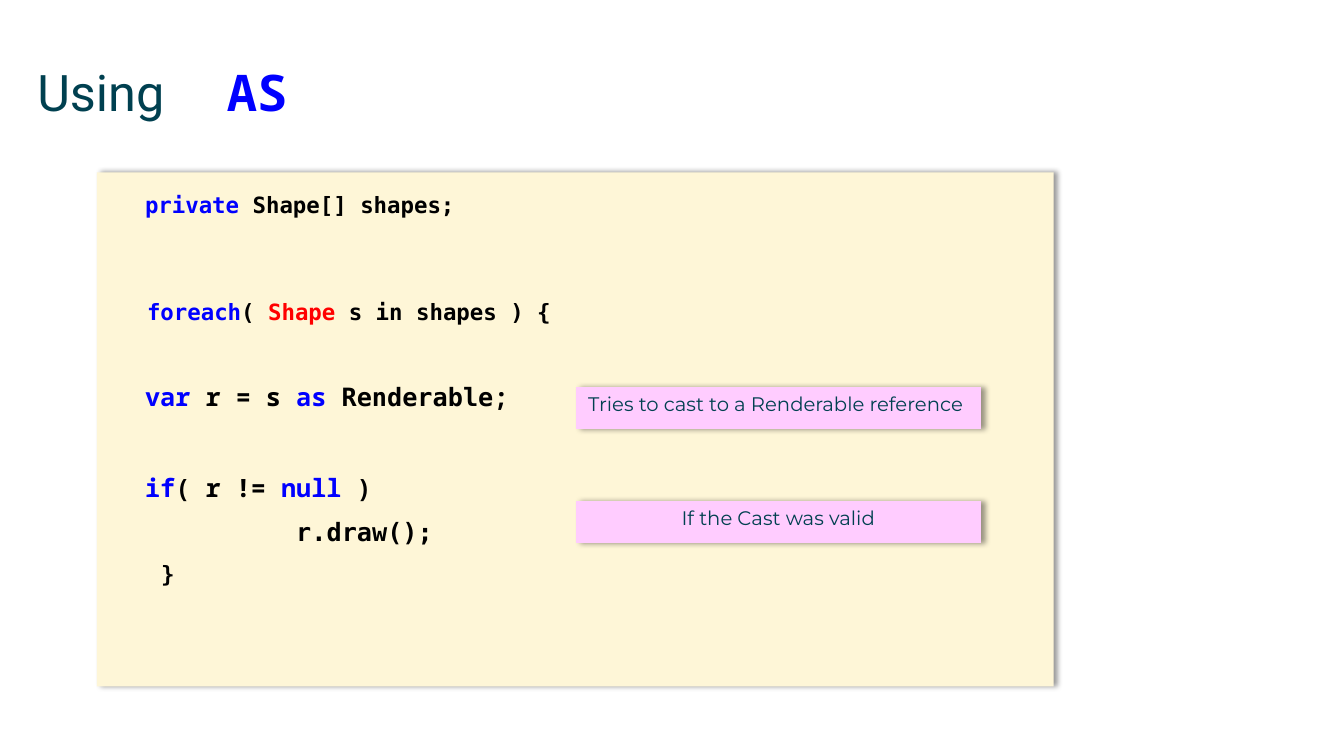
from lxml.etree import SubElement
from pptx import Presentation
from pptx.dml.color import RGBColor
from pptx.enum.shapes import MSO_SHAPE
from pptx.enum.text import MSO_ANCHOR, PP_ALIGN
from pptx.oxml.ns import qn
from pptx.util import Inches, Pt

COLORS = {"teal": "004050", "blue": "0000FF", "red": "FF0000",
          "black": "000000", "cream": "FEF6D7", "pink": "FFCCFF"}
MONO, NOTO = "DejaVu Sans Mono", "Noto Sans Mono"
CODE = [
    (16, MONO, 0.38, 0, [("private", "blue"), (" Shape[] shapes;", "black")]),
    (16, MONO, 0.4, 47.5, [("foreach", "blue"), ("( ", "black"), ("Shape", "red"),
                           (" s in shapes ) {", "black")]),
    (18, NOTO, 0.38, 33, [("var", "blue"), (" r = s ", "black"), ("as ", "blue"),
                          ("Renderable", "black", MONO), (";", "black")]),
    (18, NOTO, 0.38, 36, [("if", "blue"), ("( r != ", "black"), ("null ", "blue"),
                          (")", "black")]),
    (18, MONO, 1.88, 2, [("r.draw();", "black")]),
    (16, MONO, 0.54, 0, [("}", "black")]),
]
NOTES = ["Tries to cast to a Renderable reference ", "If the Cast was valid"]


def color(name):
    """Return the named colour."""
    return RGBColor.from_string(COLORS[name])


def add_run(para, text, tint, face=None):
    """Append a coloured run, with its own font if one is given."""
    run = para.add_run()
    run.text = text
    run.font.color.rgb = color(tint)
    if face:
        run.font.name = face


def add_panel(slide, kind, box, fill):
    """Add a filled shape with a soft shadow to its right."""
    panel = slide.shapes.add_shape(kind, *map(Inches, box))
    panel.fill.solid()
    panel.fill.fore_color.rgb = color(fill)
    panel.line.fill.background()
    panel.shadow.inherit = False
    effects = panel._element.spPr.find(qn("a:effectLst"))
    shade = SubElement(effects, qn("a:outerShdw"), blurRad=str(Pt(4)),
                       dist=str(Pt(3)), dir="0", algn="l", rotWithShape="0")
    tone = SubElement(shade, qn("a:srgbClr"), val=COLORS["black"])
    SubElement(tone, qn("a:alpha"), val="40000")
    panel.text_frame.word_wrap = True
    panel.text_frame.vertical_anchor = MSO_ANCHOR.TOP
    return panel


def add_title(slide, box):
    """Write the title with its keyword at a tab stop."""
    frame = slide.shapes.add_textbox(*map(Inches, box)).text_frame
    frame.word_wrap = True
    frame.margin_left = frame.margin_right = 0
    frame.margin_top = frame.margin_bottom = 0
    para = frame.paragraphs[0]
    para.font.size = Pt(36)
    props = para._p.get_or_add_pPr()
    tabs = props.makeelement(qn("a:tabLst"))
    props.insert(0, tabs)
    SubElement(tabs, qn("a:tab"), pos=str(Inches(1.88)), algn="l")
    add_run(para, "Using\t", "teal", "Roboto")
    add_run(para, "AS", "blue", NOTO)
    para.runs[-1].font.bold = True


def add_code(slide, box):
    """Add the code panel, one paragraph for each line of code."""
    frame = add_panel(slide, MSO_SHAPE.RECTANGLE, box, "cream").text_frame
    frame.margin_right = 0
    for row, (size, face, indent, gap, parts) in enumerate(CODE):
        para = frame.add_paragraph() if row else frame.paragraphs[0]
        para.alignment = PP_ALIGN.LEFT
        para.line_spacing = Pt(29)
        para.space_before = Pt(gap)
        para._p.get_or_add_pPr().set("marL", str(Inches(indent)))
        para.font.size = Pt(size)
        para.font.name = face
        para.font.bold = True
        for part in parts:
            add_run(para, *part)


def add_note(slide, box, text):
    """Add a callout that explains a line of code."""
    note = add_panel(slide, MSO_SHAPE.LINE_CALLOUT_2, box, "pink")
    for spot, value in enumerate((0.3, -0.03, 0.3, -0.03, 0.31, -0.25)):
        note.adjustments[spot] = value
    para = note.text_frame.paragraphs[0]
    para.alignment = PP_ALIGN.CENTER
    para.font.size = Pt(14)
    para.font.name = "Montserrat"
    add_run(para, text, "teal")


def main():
    """Build and save the slide."""
    deck = Presentation()
    deck.slide_width, deck.slide_height = Inches(13.33), Inches(7.5)
    slide = deck.slides.add_slide(deck.slide_layouts[6])
    add_title(slide, (0.37, 0.61, 12.6, 0.88))
    add_code(slide, (0.96, 1.71, 9.49, 5.1))
    for row, text in enumerate(NOTES):
        add_note(slide, (5.71, 3.84 + 1.13 * row, 4.02, 0.42), text)
    deck.save("out.pptx")


if __name__ == "__main__":
    main()
